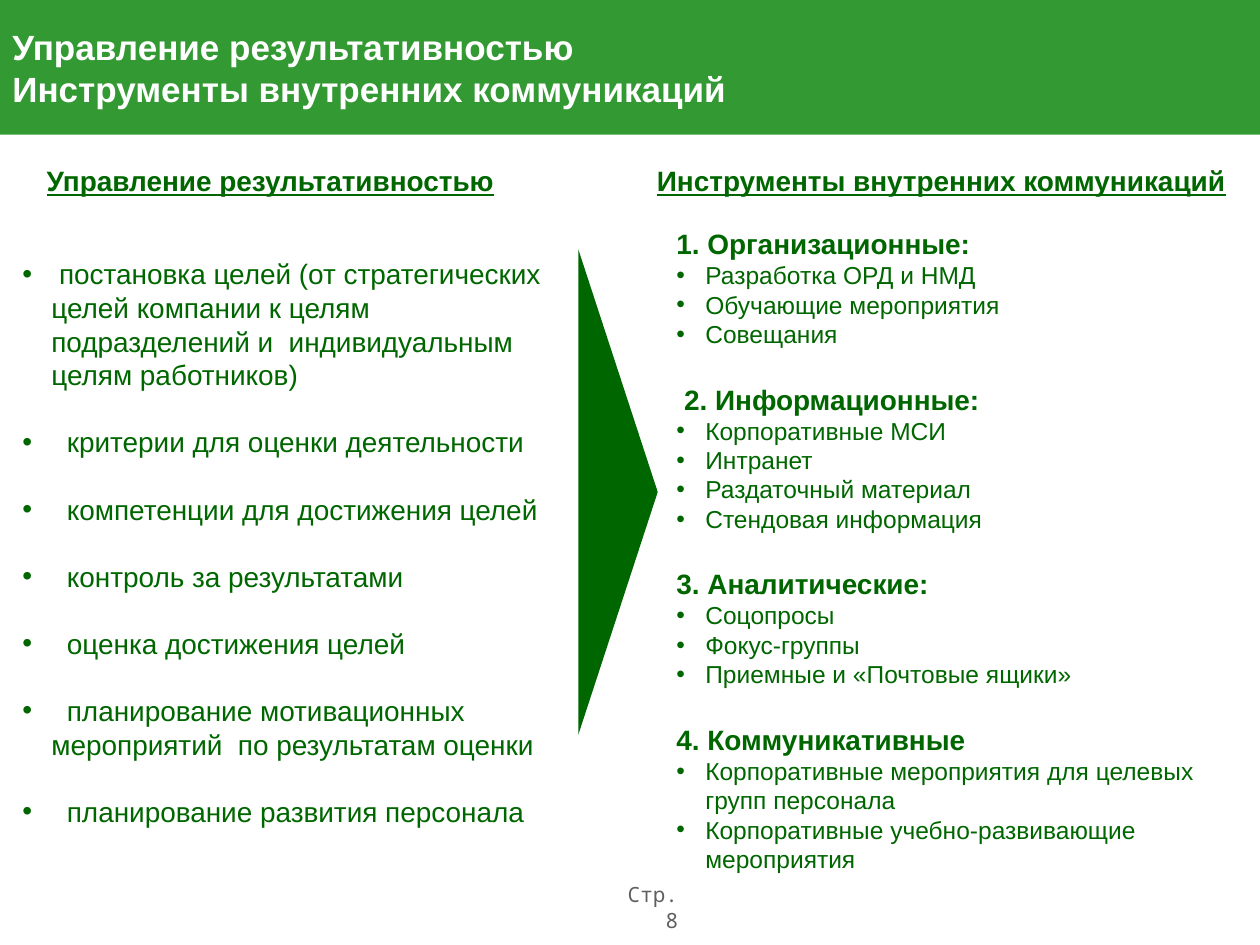
import pptx
import pptx.dml.color
import pptx.enum.shapes
import pptx.enum.text
import pptx.util
from lxml import etree
from pptx.oxml.ns import qn
from pptx.util import Inches

COLORS = {"banner": "339933", "text": "006600", "white": "FFFFFF", "page": "5F5F5F"}
ALIGN = pptx.enum.text.PP_ALIGN
SHAPES = pptx.enum.shapes.MSO_SHAPE
LINE_GAP = 19.2

GOALS = [
    " постановка целей (от стратегических целей компании к целям "
    "подразделений и  индивидуальным целям работников)",
    "  критерии для оценки деятельности",
    "  компетенции для достижения целей",
    "  контроль за результатами",
    "  оценка достижения целей",
    "  планирование мотивационных мероприятий  по результатам оценки",
    "  планирование развития персонала",
]
TOOLS = {
    "1. Организационные:": [
        "Разработка ОРД и НМД", "Обучающие мероприятия", "Совещания"],
    " 2. Информационные:": [
        "Корпоративные МСИ", "Интранет", "Раздаточный материал",
        "Стендовая информация"],
    "3. Аналитические:": [
        "Соцопросы", "Фокус-группы", "Приемные и «Почтовые ящики»"],
    "4. Коммуникативные": [
        "Корпоративные мероприятия для целевых групп персонала",
        "Корпоративные учебно-развивающие мероприятия"],
}


def rgb(name):
    return pptx.dml.color.RGBColor.from_string(COLORS[name])


def format_paragraph(paragraph, size, color="text", bold=False, underline=False,
                     font_name="Arial", align=ALIGN.LEFT):
    paragraph.alignment = align
    for run in paragraph.runs:
        font = run.font
        font.name = font_name
        font.size = pptx.util.Pt(size)
        font.bold = bold
        font.underline = underline
        font.color.rgb = rgb(color)


def add_bullet(paragraph):
    properties = paragraph._p.get_or_add_pPr()
    properties.set("marL", str(Inches(0.23)))
    properties.set("indent", str(-Inches(0.23)))
    bullet_color = etree.SubElement(properties, qn("a:buClr"))
    etree.SubElement(bullet_color, qn("a:srgbClr")).set("val", COLORS["text"])
    etree.SubElement(properties, qn("a:buFont")).set("typeface", "Arial")
    etree.SubElement(properties, qn("a:buChar")).set("char", "•")


def add_text_box(slide, left, top, width, height, wrap=True):
    box = slide.shapes.add_textbox(
        Inches(left), Inches(top), Inches(width), Inches(height))
    box.text_frame.word_wrap = wrap
    return box.text_frame


def add_filled_shape(slide, kind, left, top, width, height, color):
    shape = slide.shapes.add_shape(
        kind, Inches(left), Inches(top), Inches(width), Inches(height))
    shape.shadow.inherit = False
    shape.fill.solid()
    shape.fill.fore_color.rgb = rgb(color)
    shape.line.fill.background()
    return shape


def add_banner(slide, text):
    banner = add_filled_shape(slide, SHAPES.RECTANGLE, 0, 0, 10, 1.07, "banner")
    text_frame = banner.text_frame
    text_frame.vertical_anchor = pptx.enum.text.MSO_ANCHOR.MIDDLE
    text_frame.text = text
    format_paragraph(text_frame.paragraphs[0], 20, "white", bold=True)


def add_column_heading(slide, left, width, text):
    text_frame = add_text_box(slide, left, 1.25, width, 0.37, wrap=False)
    text_frame.text = text
    format_paragraph(text_frame.paragraphs[0], 16, bold=True, underline=True,
                     align=ALIGN.CENTER)


def add_goals(slide):
    text_frame = add_text_box(slide, 0.08, 1.99, 4.33, 4.63)
    text_frame.text = "\n".join(GOALS)
    for index, paragraph in enumerate(text_frame.paragraphs):
        format_paragraph(paragraph, 16)
        paragraph.space_before = pptx.util.Pt(LINE_GAP if index else 0)
        add_bullet(paragraph)


def add_tools(slide):
    text_frame = add_text_box(slide, 5.27, 1.75, 4.57, 5.24)
    text_frame.text = "\n".join(
        line for title, items in TOOLS.items() for line in [title, *items])
    for index, paragraph in enumerate(text_frame.paragraphs):
        if paragraph.text in TOOLS:
            format_paragraph(paragraph, 16, bold=True)
            paragraph.space_before = pptx.util.Pt(LINE_GAP if index else 0)
        else:
            format_paragraph(paragraph, 14)
            add_bullet(paragraph)


def add_page_number(slide):
    text_frame = add_text_box(slide, 4.77, 6.95, 0.71, 0.33)
    text_frame.text = "Стр. 8"
    format_paragraph(text_frame.paragraphs[0], 12, "page",
                     font_name="Noto Sans Mono", align=ALIGN.RIGHT)


def main():
    presentation = pptx.Presentation()
    presentation.slide_width = Inches(10)
    presentation.slide_height = Inches(7.5)
    slide = presentation.slides.add_slide(presentation.slide_layouts[6])

    add_page_number(slide)
    add_banner(slide, "Управление результативностью\vИнструменты внутренних коммуникаций")
    add_goals(slide)
    add_column_heading(slide, 0.25, 3.79, "Управление результативностью")
    add_tools(slide)
    add_column_heading(slide, 5.11, 4.72, "Инструменты внутренних коммуникаций")
    arrow = add_filled_shape(
        slide, SHAPES.ISOSCELES_TRIANGLE, 2.98, 3.59, 3.85, 0.63, "text")
    arrow.rotation = 90

    presentation.save("out.pptx")


if __name__ == "__main__":
    main()
